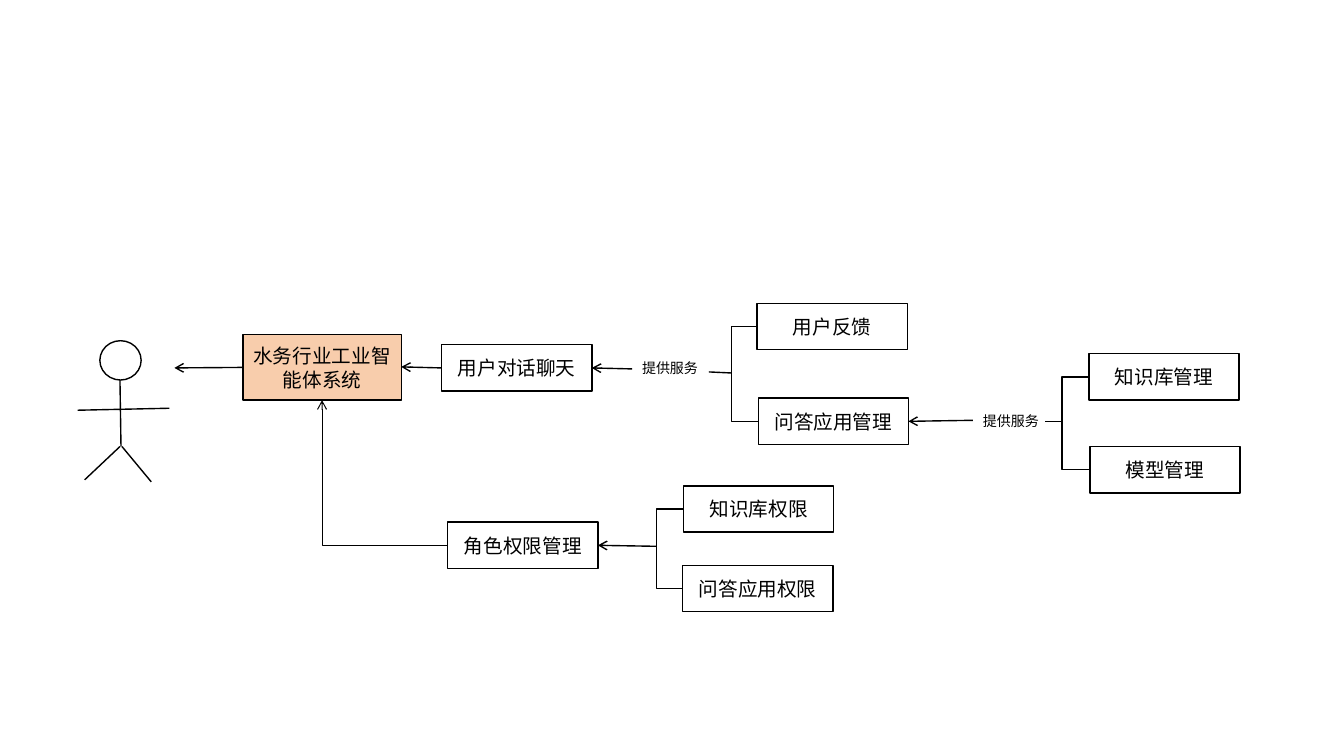
from dataclasses import dataclass

from lxml.etree import SubElement
from pptx import Presentation
from pptx.dml.color import RGBColor
from pptx.enum.shapes import MSO_CONNECTOR as Link, MSO_SHAPE as Preset
from pptx.enum.text import MSO_ANCHOR as Anchor, MSO_AUTO_SIZE as AutoSize, PP_ALIGN as Align
from pptx.oxml.ns import qn
from pptx.shapes.autoshape import Shape
from pptx.shapes.connector import Connector
from pptx.text.text import TextFrame
from pptx.util import Inches, Pt

CELL = 0.1  # inches per grid column and row
FONT = "Arial"
BLACK, WHITE, PEACH = "000000", "FFFFFF", "F8CDAC"

Point = tuple[float, float]


@dataclass(frozen=True)
class Box:
    text: str
    col: float
    row: float
    cols: float = 14.9
    rows: float = 4.6
    fill: str = WHITE

    @property
    def middle(self) -> float:
        return self.row + self.rows / 2

    @property
    def left(self) -> Point:
        return self.col, self.middle

    @property
    def right(self) -> Point:
        return self.col + self.cols, self.middle

    @property
    def bottom(self) -> Point:
        return self.col + self.cols / 2, self.row + self.rows


@dataclass(frozen=True)
class Bracket:
    """Joins two boxes on their left sides through a vertical spine."""
    upper: Box
    lower: Box
    spine: float


@dataclass(frozen=True)
class Line:
    start: Point
    end: Point
    arrow: bool = False


def grid(cells: float) -> int:
    return Inches(cells * CELL)


def color(value: str) -> RGBColor:
    return RGBColor.from_string(value)


def style_text(frame: TextFrame, text: str, size: float, align: Align) -> None:
    frame.word_wrap = True
    frame.text = text
    paragraph = frame.paragraphs[0]
    paragraph.alignment = align
    font = paragraph.runs[0].font
    font.name, font.size = FONT, Pt(size)
    font.color.rgb = color(BLACK)


def draw_outline(preset: Preset, col: float, row: float, cols: float, rows: float,
                 fill: str) -> Shape:
    shape = slide.shapes.add_shape(preset, grid(col), grid(row), grid(cols), grid(rows))
    shape.shadow.inherit = False
    shape.fill.solid()
    shape.fill.fore_color.rgb = color(fill)
    shape.line.color.rgb = color(BLACK)
    shape.line.width = Pt(1)
    return shape


def draw_box(box: Box) -> None:
    shape = draw_outline(Preset.RECTANGLE, box.col, box.row, box.cols, box.rows, box.fill)
    shape.text_frame.vertical_anchor = Anchor.MIDDLE
    style_text(shape.text_frame, box.text, 14, Align.CENTER)


def draw_label(text: str, col: float, row: float) -> None:
    label = slide.shapes.add_textbox(grid(col), grid(row), grid(7.8), grid(2.7))
    style_text(label.text_frame, text, 10, Align.LEFT)
    label.text_frame.auto_size = AutoSize.SHAPE_TO_FIT_TEXT


def draw_line(line: Line, kind: Link = Link.STRAIGHT, width: float = 1) -> Connector:
    ends = [grid(value) for value in (*line.start, *line.end)]
    connector = slide.shapes.add_connector(kind, *ends)
    connector.line.color.rgb = color(BLACK)
    connector.line.width = Pt(width)
    properties = connector._element.spPr
    if line.arrow:
        SubElement(properties.find(qn("a:ln")), qn("a:tailEnd"), type="arrow")
    SubElement(properties, qn("a:effectLst"))
    return connector


def draw_bracket(bracket: Bracket) -> None:
    start, end = bracket.upper.left, bracket.lower.left
    connector = draw_line(Line(start, end), Link.ELBOW)
    bend = (bracket.spine - start[0]) / (end[0] - start[0])
    geometry = connector._element.spPr.find(qn("a:prstGeom"))
    SubElement(geometry.find(qn("a:avLst")), qn("a:gd"),
               name="adj1", fmla=f"val {round(bend * 100000)}")


def draw_corner(line: Line) -> None:
    """Draws a single right-angle turn, horizontal leg first."""
    connector = draw_line(line, Link.ELBOW, 0.75)
    connector._element.spPr.find(qn("a:prstGeom")).set("prst", "bentConnector2")


presentation = Presentation()
presentation.slide_width, presentation.slide_height = Inches(13.33), Inches(7.5)
slide = presentation.slides.add_slide(presentation.slide_layouts[6])

system = Box("水务行业工业智能体系统", 24.1, 33.2, 15.7, 6.5, PEACH)
chat = Box("用户对话聊天", 43.8, 34.2)
roles = Box("角色权限管理", 44.4, 51.8)
knowledge_rights = Box("知识库权限", 67.8, 48.2)
answer_rights = Box("问答应用权限", 67.7, 56.1)
feedback = Box("用户反馈", 75.1, 30.1)
answers = Box("问答应用管理", 75.2, 39.5)
knowledge = Box("知识库管理", 108, 35.1)
models = Box("模型管理", 108.1, 44.3)

for module in (system, chat, roles, knowledge_rights, answer_rights,
               feedback, answers, knowledge, models):
    draw_box(module)

rights_bracket = Bracket(knowledge_rights, answer_rights, 65.1)
chat_bracket = Bracket(feedback, answers, 72.5)
answers_bracket = Bracket(knowledge, models, 105.3)
for service_bracket in (rights_bracket, chat_bracket, answers_bracket):
    draw_bracket(service_bracket)

user_limbs = [
    Line((7.7, 40.7), (16.8, 40.5)),
    Line((11.9, 37.7), (12, 44.3)),
    Line((11.9, 44.3), (8.4, 47.6)),
    Line((12.1, 44.3), (15, 47.8)),
]
flows = [
    Line(system.left, (17.3, 36.5), arrow=True),
    Line(chat.left, (39.8, 36.4), arrow=True),
    Line((62.7, 36.6), chat.right, arrow=True),
    Line((chat_bracket.spine, 37), (70.3, 36.9)),
    Line((96.5, 41.7), answers.right, arrow=True),
    Line((answers_bracket.spine, 41.8), (103.6, 41.8)),
    Line((rights_bracket.spine, 54.2), roles.right, arrow=True),
]
draw_outline(Preset.OVAL, 9.9, 33.8, 4.1, 3.9, WHITE)
for stroke in user_limbs + flows:
    draw_line(stroke)
draw_corner(Line(roles.left, system.bottom, arrow=True))

for label_col, label_row in ((62.7, 35.2), (96.5, 40.4)):
    draw_label("提供服务", label_col, label_row)

presentation.save("out.pptx")
